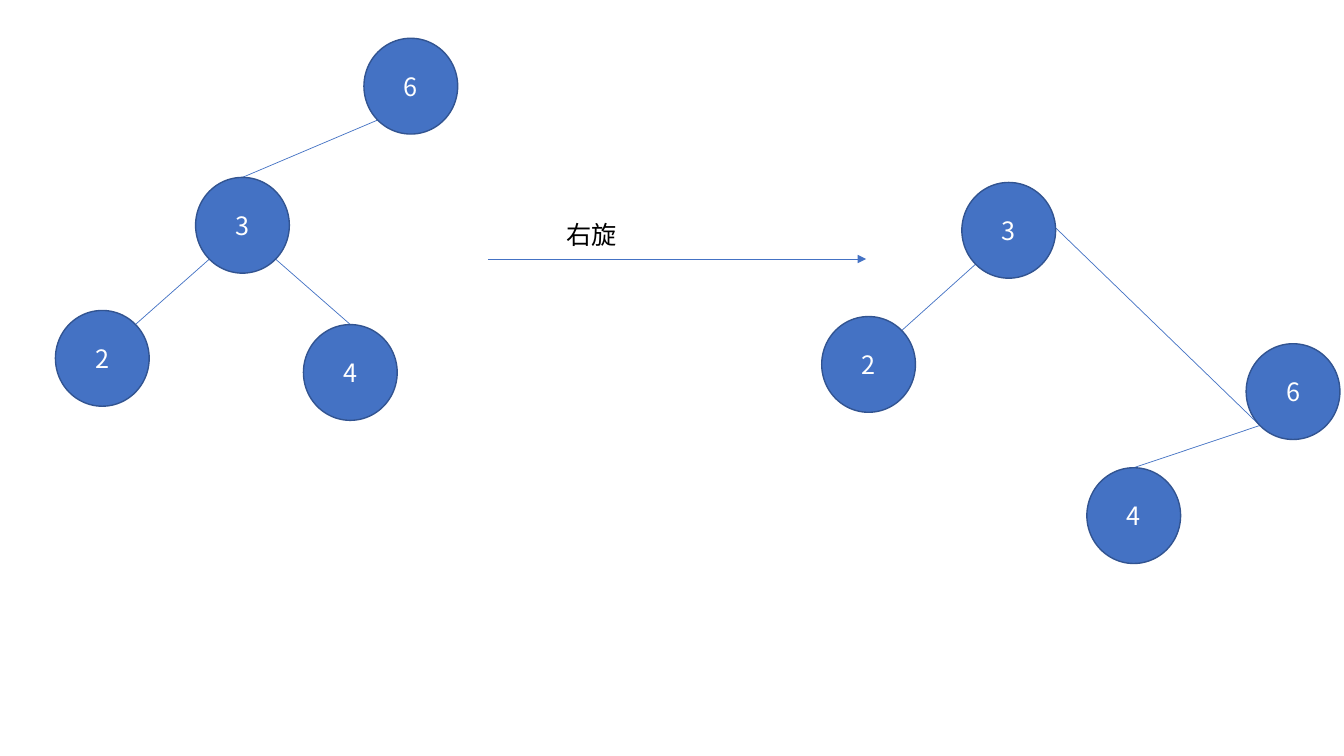
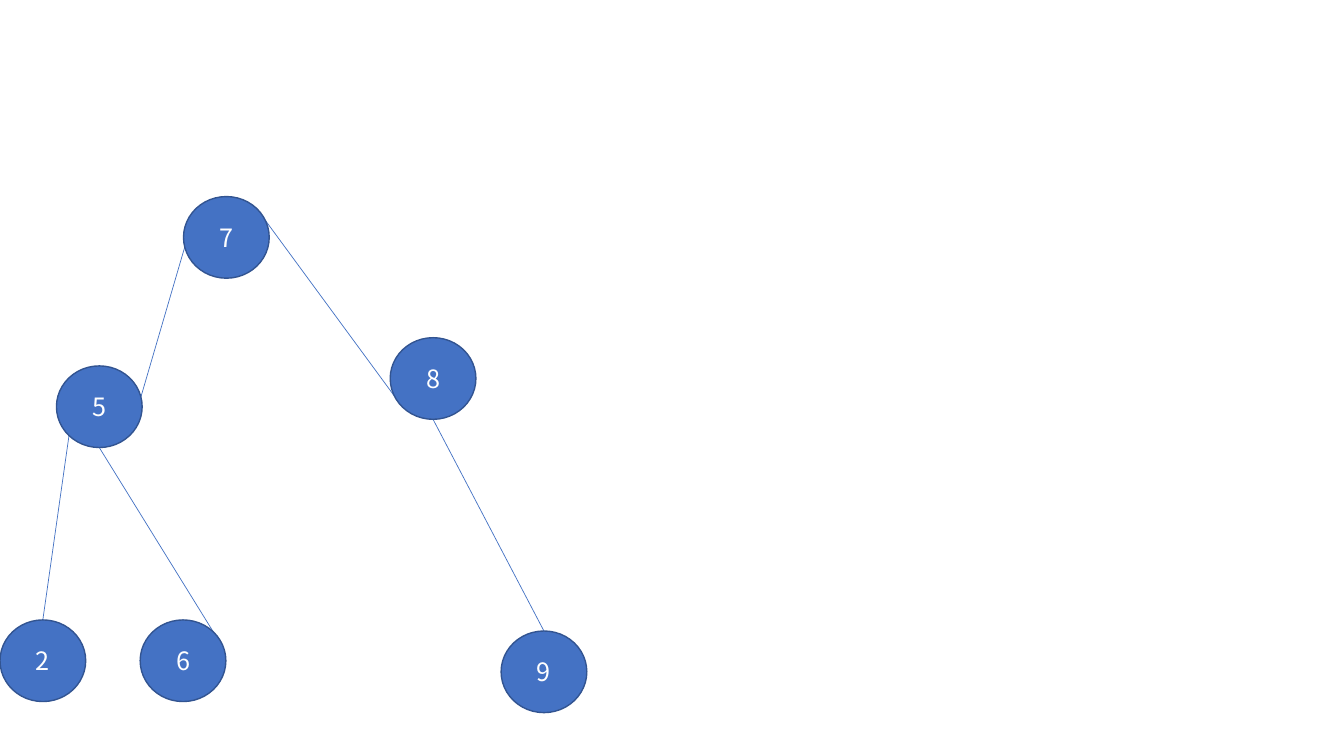
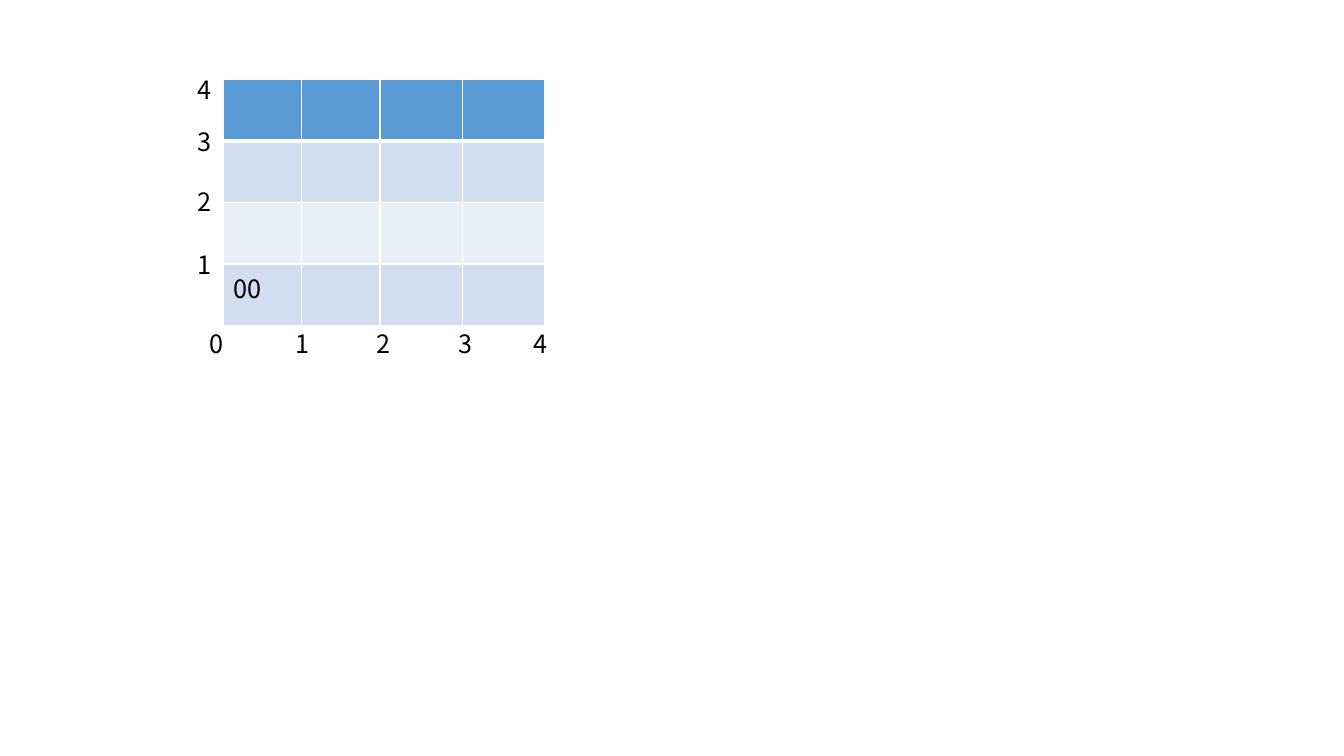
from math import cos, radians, sin

from lxml.etree import SubElement
from pptx import Presentation
from pptx.dml.color import RGBColor
from pptx.enum.shapes import MSO_CONNECTOR as Connector, MSO_SHAPE as Preset
from pptx.enum.text import MSO_ANCHOR as Anchor, MSO_AUTO_SIZE as AutoSize, PP_ALIGN as Align
from pptx.oxml.ns import qn
from pptx.util import Inches, Pt

FONT = "Noto Sans CJK SC"
BLUE, OUTLINE = "4472C4", "325491"
WHITE, BLACK = "FFFFFF", "000000"
HEADER, BANDS = "5B9BD5", ("D2DEEF", "EAEFF7")
ANGLES = {"top": 270, "top left": 225, "top right": 315,
          "bottom": 90, "bottom left": 135, "bottom right": 45}


def color(value):
    """Turn a hex string into a colour."""
    return RGBColor.from_string(value)


def write(frame, text, size=18, fill=BLACK, align=Align.LEFT, anchor=Anchor.TOP):
    """Write one formatted paragraph into a text frame."""
    frame.vertical_anchor = anchor
    para = frame.paragraphs[0]
    para.alignment = align
    span = para.add_run()
    span.text = text
    span.font.size = Pt(size)
    span.font.name = FONT
    span.font.color.rgb = color(fill)
    SubElement(span._r.get_or_add_rPr(), qn("a:ea"), typeface=FONT)


def add_label(page, text, left, top, width=0.34):
    """Add a text box that grows with its text."""
    box = page.shapes.add_textbox(Inches(left), Inches(top), Inches(width), Inches(0.4))
    box.text_frame.word_wrap = True
    box.text_frame.auto_size = AutoSize.SHAPE_TO_FIT_TEXT
    write(box.text_frame, text)


def add_line(page, start, end, arrow=False):
    """Draw a thin straight line, with an arrowhead at its end on request."""
    line = page.shapes.add_connector(Connector.STRAIGHT, *map(Inches, (*start, *end)))
    line.line.color.rgb = color(BLUE)
    line.line.width = Pt(0.5)
    if arrow:
        SubElement(line.line._get_or_add_ln(), qn("a:tailEnd"), type="triangle")
    SubElement(line._element.spPr, qn("a:effectLst"))


def add_node(page, text, left, top, width, height):
    """Draw one round tree node."""
    node = page.shapes.add_shape(Preset.OVAL, *map(Inches, (left, top, width, height)))
    node.shadow.inherit = False
    node.fill.solid()
    node.fill.fore_color.rgb = color(BLUE)
    node.line.color.rgb = color(OUTLINE)
    node.line.width = Pt(1)
    write(node.text_frame, text, fill=WHITE, align=Align.CENTER, anchor=Anchor.MIDDLE)


def add_tree(page, left, top, size, nodes, edges):
    """Draw a tree at a corner, with its edges behind its nodes."""
    width, height = size

    def site(name, side):
        """Find a point on the rim of a node."""
        x, y = nodes[name]
        angle = radians(ANGLES[side])
        return (left + x + width / 2 * (1 + cos(angle)),
                top + y + height / 2 * (1 + sin(angle)))

    for parent, parent_side, child, child_side in edges:
        add_line(page, site(parent, parent_side), site(child, child_side))
    for name, (x, y) in nodes.items():
        add_node(page, name, left + x, top + y, width, height)


def set_borders(cell, **widths):
    """Give a cell white borders, with widths in points by side."""
    for side in "LRTB":
        border = SubElement(cell._tc.get_or_add_tcPr(), qn(f"a:ln{side}"),
                            w=str(Pt(widths.get(side, 1))))
        SubElement(SubElement(border, qn("a:solidFill")), qn("a:srgbClr"), val=WHITE)


def add_grid(page, left, top, columns, row_height, rows):
    """Draw the banded grid with its first cell named at bottom left."""
    frame = page.shapes.add_table(rows, len(columns), Inches(left), Inches(top),
                                  Inches(sum(columns)), Inches(row_height * rows))
    table = frame.table
    table.first_row = table.horz_banding = False
    for column, width in zip(table.columns, columns):
        column.width = Inches(width)
    for index, row in enumerate(table.rows):
        row.height = Inches(row_height)
        for cell in row.cells:
            set_borders(cell, T=3 if index == 1 else 1, B=3 if index == 0 else 1)
            cell.fill.solid()
            cell.fill.fore_color.rgb = color(BANDS[(index - 1) % 2] if index else HEADER)
    write(table.cell(rows - 1, 0).text_frame, "00")


def add_axes(page, left, top, across, up):
    """Number the bottom and left sides of the grid, from its corner."""
    for number, x in enumerate(across):
        add_label(page, str(number), left + x, top + 2.42)
    for number, y in enumerate(up, 1):
        add_label(page, str(number), left - 0.36, top + y)


def build_rotation(page):
    """Show a tree before and after a right rotation."""
    size = (0.93, 0.95)
    add_tree(page, 0.55, 0.38, size,
             {"6": (3.06, 0), "3": (1.39, 1.38), "2": (0, 2.7), "4": (2.46, 2.84)},
             [("6", "bottom left", "3", "top"),
              ("3", "bottom left", "2", "top right"),
              ("3", "bottom right", "4", "top")])
    add_line(page, (4.84, 2.57), (8.59, 2.57), arrow=True)
    add_label(page, "右旋", 5.52, 2.13, width=1.89)
    add_tree(page, 8.15, 1.81, size,
             {"6": (4.21, 1.6), "3": (1.39, 0), "2": (0, 1.33), "4": (2.63, 2.83)},
             [("6", "bottom left", "3", "top"),
              ("3", "bottom left", "2", "top right"),
              ("6", "bottom left", "4", "top")])


def build_search_tree(page):
    """Show a search tree of six nodes."""
    add_tree(page, 0, 1.95, (0.85, 0.81),
             {"8": (3.87, 1.4), "5": (0.56, 1.68), "9": (4.97, 4.31),
              "2": (0, 4.2), "6": (1.39, 4.2), "7": (1.82, 0)},
             [("7", "top right", "8", "bottom left"),
              ("8", "bottom", "9", "top"),
              ("5", "bottom", "6", "top right"),
              ("7", "top left", "5", "bottom right"),
              ("5", "bottom left", "2", "top")])


def build_coordinates(page):
    """Show a grid with numbered axes."""
    left, top = 2.22, 0.79
    add_grid(page, left, top, (0.77, 0.78, 0.82, 0.81), 0.61, 4)
    add_axes(page, left, top, (-0.24, 0.61, 1.42, 2.23, 2.97), (1.63, 1.01, 0.41, -0.1))


deck = Presentation()
deck.slide_width, deck.slide_height = Inches(13.33), Inches(7.5)
for build in (build_rotation, build_search_tree, build_coordinates):
    build(deck.slides.add_slide(deck.slide_layouts[6]))
deck.save("out.pptx")
